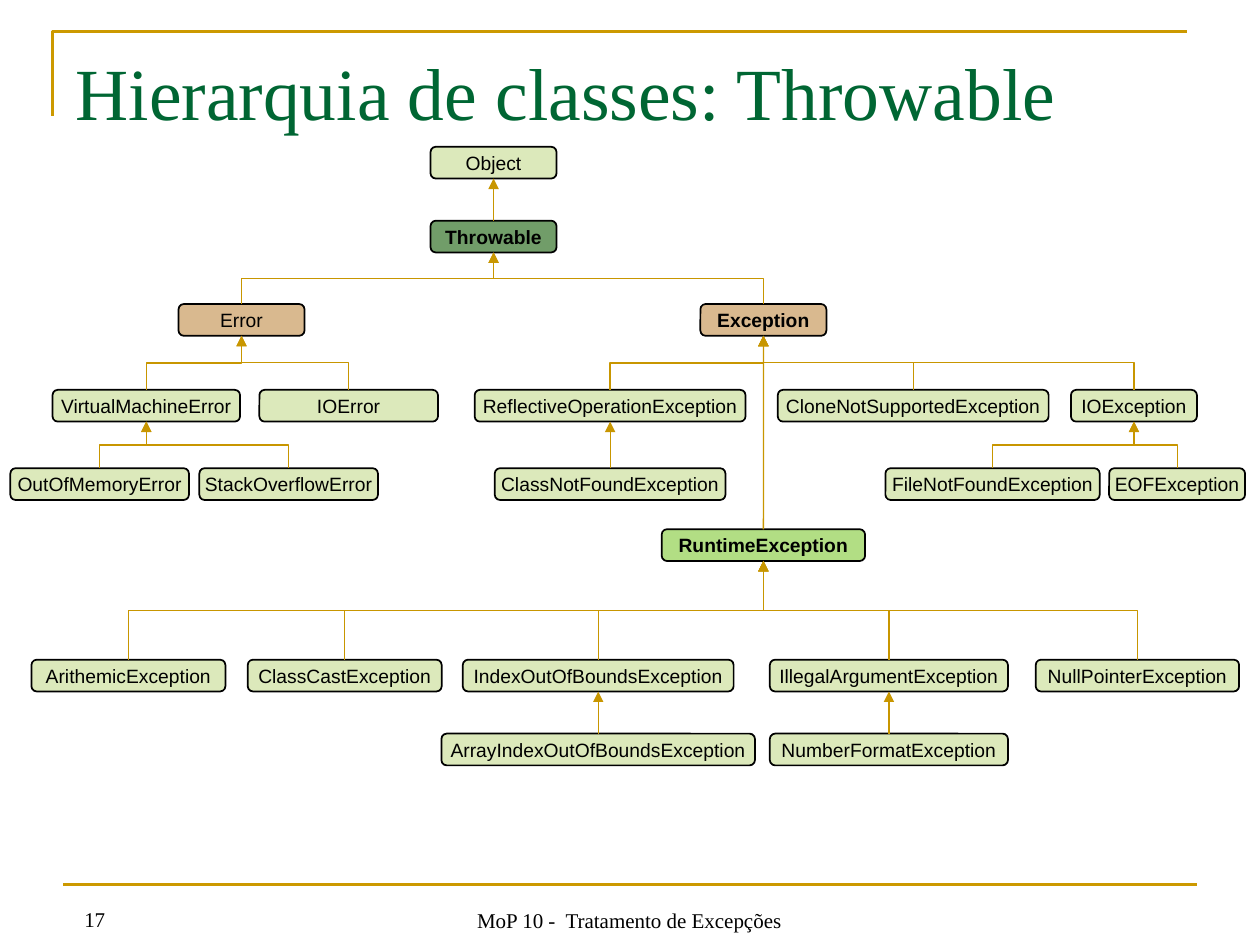
"""Builds the slide showing the Throwable class hierarchy."""
import dataclasses

import lxml.etree
import pptx
import pptx.dml.color
import pptx.enum.shapes
import pptx.enum.text
import pptx.oxml.ns
import pptx.shapes.autoshape
import pptx.shapes.connector
import pptx.slide
import pptx.text.text
import pptx.util

Cm = pptx.util.Cm
Pt = pptx.util.Pt
Align = pptx.enum.text.PP_ALIGN
Anchor = pptx.enum.text.MSO_ANCHOR
Link = pptx.enum.shapes.MSO_CONNECTOR

COLORS = {
    "class": "CEE19F", "throwable": "35742A", "branch": "C99C60",
    "runtime": "92D050", "arrow": "C89600", "frame": "CC9900",
    "title": "006633", "ink": "000000",
}
ROWS = [2.96, 4.45, 6.13, 7.86, 9.44, 10.67, 13.3, 14.79]
BOX_HEIGHT = 0.64
TOP_SITE, BOTTOM_SITE = 0, 2


@dataclasses.dataclass(frozen=True)
class JavaClass:
    name: str
    parent: str
    row: int
    center: float
    width: float
    color: str = "class"
    bold: bool = False


HIERARCHY = [
    JavaClass("Object", "", 0, 9.95, 2.54),
    JavaClass("Throwable", "Object", 1, 9.95, 2.54, "throwable", True),
    JavaClass("Error", "Throwable", 2, 4.87, 2.54, "branch"),
    JavaClass("Exception", "Throwable", 2, 15.39, 2.54, "branch", True),
    JavaClass("VirtualMachineError", "Error", 3, 2.95, 3.78),
    JavaClass("IOError", "Error", 3, 7.03, 3.6),
    JavaClass("ReflectiveOperationException", "Exception", 3, 12.3, 5.46),
    JavaClass("CloneNotSupportedException", "Exception", 3, 18.41, 5.46),
    JavaClass("IOException", "Exception", 3, 22.86, 2.54),
    JavaClass("OutOfMemoryError", "VirtualMachineError", 4, 2.01, 3.6),
    JavaClass("StackOverflowError", "VirtualMachineError", 4, 5.82, 3.6),
    JavaClass("ClassNotFoundException", "ReflectiveOperationException", 4, 12.3, 4.65),
    JavaClass("FileNotFoundException", "IOException", 4, 20.01, 4.32),
    JavaClass("EOFException", "IOException", 4, 23.73, 2.74),
    JavaClass("RuntimeException", "Exception", 5, 15.39, 4.1, "runtime", True),
    JavaClass("ArithemicException", "RuntimeException", 6, 2.59, 3.91),
    JavaClass("ClassCastException", "RuntimeException", 6, 6.95, 3.91),
    JavaClass("IndexOutOfBoundsException", "RuntimeException", 6, 12.06, 5.46),
    JavaClass("IllegalArgumentException", "RuntimeException", 6, 17.92, 4.8),
    JavaClass("NullPointerException", "RuntimeException", 6, 22.93, 4.1),
    JavaClass("ArrayIndexOutOfBoundsException", "IndexOutOfBoundsException", 7, 12.06, 6.32),
    JavaClass("NumberFormatException", "IllegalArgumentException", 7, 17.92, 4.8),
]


def rgb(key: str) -> pptx.dml.color.RGBColor:
    return pptx.dml.color.RGBColor.from_string(COLORS[key])


def write(frame: pptx.text.text.TextFrame, text: str, size: float, font: str,
          color: str = "ink", align: Align = Align.LEFT, bold: bool = False) -> None:
    frame.text = text
    paragraph = frame.paragraphs[0]
    paragraph.alignment = align
    run_font = paragraph.runs[0].font
    run_font.name, run_font.size, run_font.bold = font, Pt(size), bold
    run_font.color.rgb = rgb(color)


def add_xml(parent: lxml.etree._Element, tag: str, **attributes: str) -> None:
    lxml.etree.SubElement(parent, pptx.oxml.ns.qn(tag), **attributes)


def style_line(connector: pptx.shapes.connector.Connector, color: str, width: float) -> None:
    connector.line.color.rgb = rgb(color)
    connector.line.width = Pt(width)
    add_xml(connector._element.spPr, "a:effectLst")


def draw_class(slide: pptx.slide.Slide, item: JavaClass) -> pptx.shapes.autoshape.Shape:
    box = slide.shapes.add_shape(
        pptx.enum.shapes.MSO_SHAPE.ROUNDED_RECTANGLE, Cm(item.center - item.width / 2),
        Cm(ROWS[item.row]), Cm(item.width), Cm(BOX_HEIGHT))
    box.shadow.inherit = False
    box.fill.solid()
    box.fill.fore_color.rgb = rgb(item.color)
    add_xml(box.fill._xPr.solidFill[0], "a:alpha", val="70000")
    box.line.color.rgb = rgb("ink")
    box.line.width = Pt(1)
    box.text_frame.word_wrap = False
    box.text_frame.vertical_anchor = Anchor.MIDDLE
    write(box.text_frame, item.name, 11, "Arial", align=Align.CENTER, bold=item.bold)
    return box


def draw_inheritance(slide: pptx.slide.Slide, child: JavaClass, parent: JavaClass,
                     boxes: dict[str, pptx.shapes.autoshape.Shape]) -> None:
    straight = child.center == parent.center
    arrow = slide.shapes.add_connector(Link.STRAIGHT if straight else Link.ELBOW, 0, 0, 0, 0)
    arrow.begin_connect(boxes[child.name], TOP_SITE)
    arrow.end_connect(boxes[parent.name], BOTTOM_SITE)
    if not straight:
        turn_upright(arrow, child.center > parent.center)
    style_line(arrow, "arrow", 0.75)
    add_xml(arrow.line._get_or_add_ln(), "a:tailEnd", type="triangle")


def turn_upright(arrow: pptx.shapes.connector.Connector, from_right: bool) -> None:
    left, top, width, height = arrow.left, arrow.top, arrow.width, arrow.height
    arrow.left, arrow.top = left + (width - height) // 2, top + (height - width) // 2
    arrow.width, arrow.height = height, width
    transform = arrow._element.spPr.xfrm
    transform.set("rot", "16200000")
    transform.set("flipH", "0")
    transform.set("flipV", "1" if from_right else "0")


def draw_frame(slide: pptx.slide.Slide) -> None:
    rule = slide.shapes.add_connector(Link.STRAIGHT, Cm(1.27), Cm(17.83), Cm(24.13), Cm(17.83))
    style_line(rule, "frame", 1.5)
    outline = slide.shapes.build_freeform(Cm(1.06), Cm(2.33))
    outline.add_line_segments([(Cm(1.06), Cm(0.64)), (Cm(23.92), Cm(0.64))], close=False)
    corner = outline.convert_to_shape()
    corner.shadow.inherit = False
    corner.fill.background()
    corner.line.color.rgb = rgb("frame")
    corner.line.width = Pt(1.5)


def draw_texts(slide: pptx.slide.Slide) -> None:
    title = slide.shapes.title
    title.left, title.top, title.width, title.height = Cm(1.27), Cm(0.76), Cm(22.86), Cm(2.16)
    title.text_frame.vertical_anchor = Anchor.MIDDLE
    write(title.text_frame, "Hierarquia de classes: Throwable", 42, "Times New Roman", "title")
    number = slide.shapes.add_textbox(Cm(1.45), Cm(18.16), Cm(0.97), Cm(0.76))
    number.text_frame.word_wrap = False
    write(number.text_frame, "17", 12, "Times New Roman")
    footer = slide.shapes.add_textbox(Cm(7.82), Cm(18.03), Cm(9.74), Cm(0.89))
    footer.text_frame.word_wrap = True
    footer.text_frame.vertical_anchor = Anchor.BOTTOM
    write(footer.text_frame, "MoP 10 -  Tratamento de Excepções", 12, "Times New Roman",
          align=Align.CENTER)


def main() -> None:
    presentation = pptx.Presentation()
    presentation.slide_width, presentation.slide_height = Cm(25.4), Cm(19.05)
    slide = presentation.slides.add_slide(presentation.slide_layouts[5])
    draw_frame(slide)
    draw_texts(slide)
    classes = {item.name: item for item in HIERARCHY}
    boxes = {item.name: draw_class(slide, item) for item in HIERARCHY}
    for child in HIERARCHY:
        if child.parent:
            draw_inheritance(slide, child, classes[child.parent], boxes)
    presentation.save("out.pptx")


if __name__ == "__main__":
    main()
